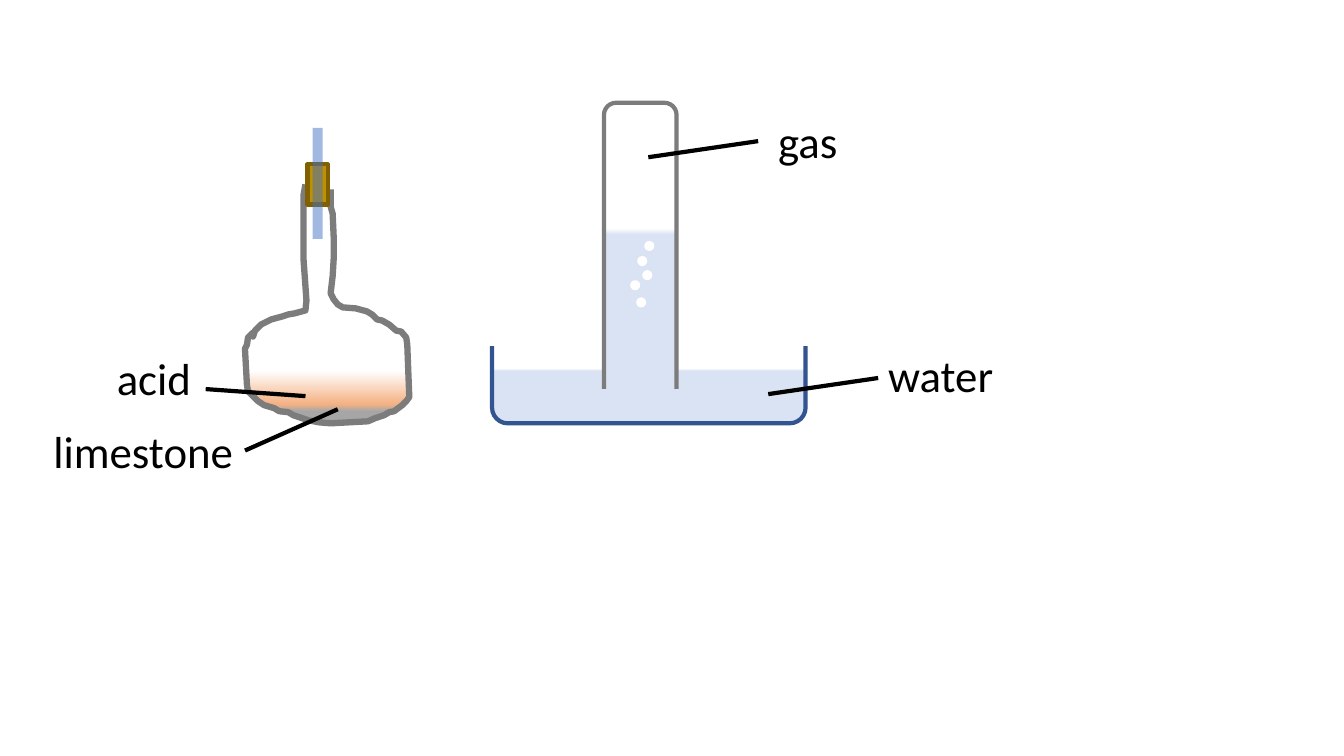
from dataclasses import dataclass

from lxml.etree import SubElement
from pptx import Presentation
from pptx.dml.color import RGBColor
from pptx.enum.shapes import MSO_CONNECTOR, MSO_SHAPE
from pptx.enum.text import MSO_AUTO_SIZE
from pptx.oxml.ns import qn
from pptx.util import Pt

EMU_PER_PX = 9144  # 100 px to the inch


@dataclass(frozen=True)
class Theme:
    ink: str = "000000"
    white: str = "FFFFFF"
    water: str = "DAE3F3"
    trough: str = "325491"
    glass: str = "7C7C7C"
    cork: str = "BF9000"
    cork_edge: str = "806000"
    tube: str = "4472C4"
    acid: str = "F4B183"
    limestone: str = "A6A6A6"
    font: str = "Calibri"
    label_size: int = 32
    line: float = 3
    flask_line: float = 4.5
    mask_line: float = 1


THEME = Theme()

FLASK_OUTLINE = [
    (303, 183), (301, 194), (301, 256), (304, 298), (303, 308), (292, 311),
    (286, 312), (280, 314), (269, 317), (259, 322), (253, 328), (251, 334),
    (251, 330), (246, 335), (245, 342), (243, 346), (245, 382), (246, 388),
    (250, 392), (256, 398), (262, 402), (272, 405), (277, 408), (286, 409),
    (291, 412), (297, 414), (306, 417), (316, 419), (328, 420), (365, 418),
    (372, 415), (381, 412), (386, 409), (391, 408), (399, 402), (403, 398),
    (406, 394), (405, 368), (404, 342), (403, 335), (398, 329), (393, 328),
    (386, 322), (379, 318), (374, 317), (369, 312), (364, 309), (353, 306),
    (340, 305), (335, 302), (331, 297), (328, 291), (330, 274), (331, 257),
    (331, 235), (330, 212), (328, 205), (328, 188),
]

LABELS = [
    ("acid", (106, 343, 118, 64)),
    ("limestone", (43, 415, 211, 64)),
    ("water", (871, 340, 132, 64)),
    ("gas", (762, 108, 86, 64)),
]

POINTERS = [
    (243, 447, 335, 406),
    (204, 386, 303, 393),
    (643, 156, 752, 140),
    (762, 391, 871, 375),
]

BUBBLE_SIZE = 10
BUBBLES = [(632, 254), (631, 295), (625, 278), (637, 268), (639, 239)]


def emu(*lengths):
    return [length * EMU_PER_PX for length in lengths]


def rgb(color):
    return RGBColor.from_string(color)


def set_format(target, values):
    for name, value in values.items():
        setattr(target, name, value)


def fill_solid(shape, color, opacity=100):
    shape.fill.solid()
    shape.fill.fore_color.rgb = rgb(color)
    if opacity < 100:
        tint = shape._element.spPr.find(f".//{qn('a:srgbClr')}")
        SubElement(tint, qn("a:alpha"), val=str(opacity * 1000))


def fill_levels(shape, levels):
    """Fill from top to bottom with (percent, colour) stops."""
    shape.fill.gradient()
    shape.fill.gradient_angle = 270
    stops = shape._element.spPr.find(f".//{qn('a:gsLst')}")
    for stop in list(stops):
        stops.remove(stop)
    for percent, color in levels:
        stop = SubElement(stops, qn("a:gs"), pos=str(percent * 1000))
        SubElement(stop, qn("a:srgbClr"), val=color)


def finish(shape, fill, edge=None, width=THEME.line, opacity=100):
    """Apply a colour or gradient stops, then the edge, without a shadow."""
    shape.shadow.inherit = False
    if isinstance(fill, str):
        fill_solid(shape, fill, opacity)
    else:
        fill_levels(shape, fill)
    if edge:
        shape.line.color.rgb = rgb(edge)
        shape.line.width = Pt(width)
    else:
        shape.line.fill.background()


def add_part(page, kind, place, fill, **look):
    finish(page.shapes.add_shape(kind, *emu(*place)), fill, **look)


def add_flask(page):
    builder = page.shapes.build_freeform(*FLASK_OUTLINE[0], scale=EMU_PER_PX)
    builder.add_line_segments(FLASK_OUTLINE[1:], close=False)
    contents = [(78, THEME.white), (92, THEME.acid), (95, THEME.limestone)]
    finish(builder.convert_to_shape(), contents, THEME.glass, THEME.flask_line)


def add_stopper(page):
    add_part(page, MSO_SHAPE.RECTANGLE, (305, 163, 20, 40), THEME.cork,
             edge=THEME.cork_edge)
    add_part(page, MSO_SHAPE.RECTANGLE, (310, 127, 10, 110), THEME.tube,
             opacity=50)


def add_trough(page):
    add_part(page, MSO_SHAPE.ROUNDED_RECTANGLE, (488, 326, 311, 94),
             [(42, THEME.white), (45, THEME.water)], edge=THEME.trough)
    add_part(page, MSO_SHAPE.RECTANGLE, (471, 292, 342, 51), THEME.white,
             edge=THEME.white, width=THEME.mask_line)


def add_gas_jar(page):
    add_part(page, MSO_SHAPE.ROUNDED_RECTANGLE, (599, 102, 72, 297),
             [(42, THEME.white), (44, THEME.water)], edge=THEME.glass)
    add_part(page, MSO_SHAPE.RECTANGLE, (591, 386, 95, 22), THEME.water)


def add_pointer(page, ends):
    pointer = page.shapes.add_connector(MSO_CONNECTOR.STRAIGHT, *emu(*ends))
    pointer.line.color.rgb = rgb(THEME.ink)
    pointer.line.width = Pt(THEME.line)
    SubElement(pointer._element.spPr, qn("a:effectLst"))


def add_label(page, text, place):
    box = page.shapes.add_textbox(*emu(*place))
    set_format(box.text_frame, {
        "word_wrap": True, "auto_size": MSO_AUTO_SIZE.SHAPE_TO_FIT_TEXT,
    })
    span = box.text_frame.paragraphs[0].add_run()
    span.text = text
    set_format(span.font, {"name": THEME.font, "size": Pt(THEME.label_size)})
    span.font.color.rgb = rgb(THEME.ink)


def main():
    deck = Presentation()
    deck.slide_width, deck.slide_height = emu(1333, 750)
    page = deck.slides.add_slide(deck.slide_layouts[6])
    add_flask(page)
    add_stopper(page)
    add_trough(page)
    add_gas_jar(page)
    for ends in POINTERS:
        add_pointer(page, ends)
    for text, place in LABELS:
        add_label(page, text, place)
    for left, top in BUBBLES:
        add_part(page, MSO_SHAPE.OVAL, (left, top, BUBBLE_SIZE, BUBBLE_SIZE),
                 THEME.white)
    deck.save("out.pptx")


if __name__ == "__main__":
    main()
